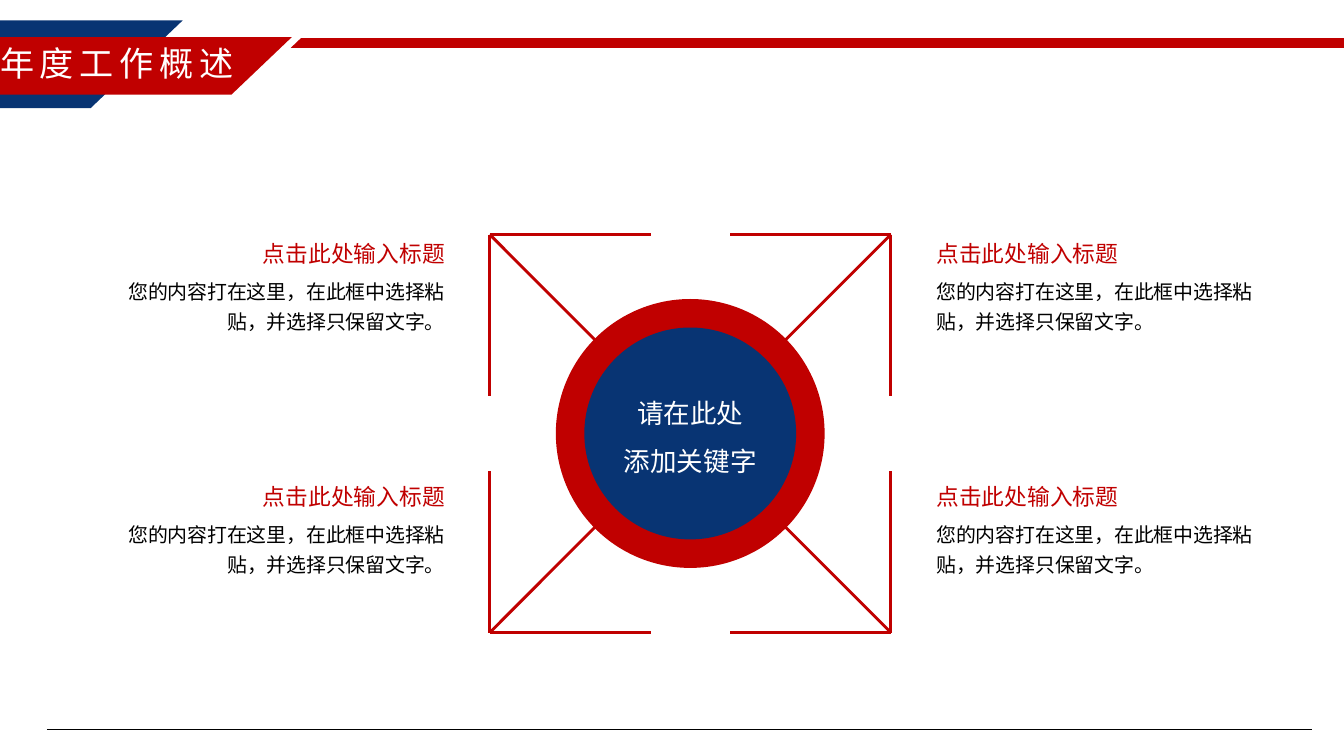
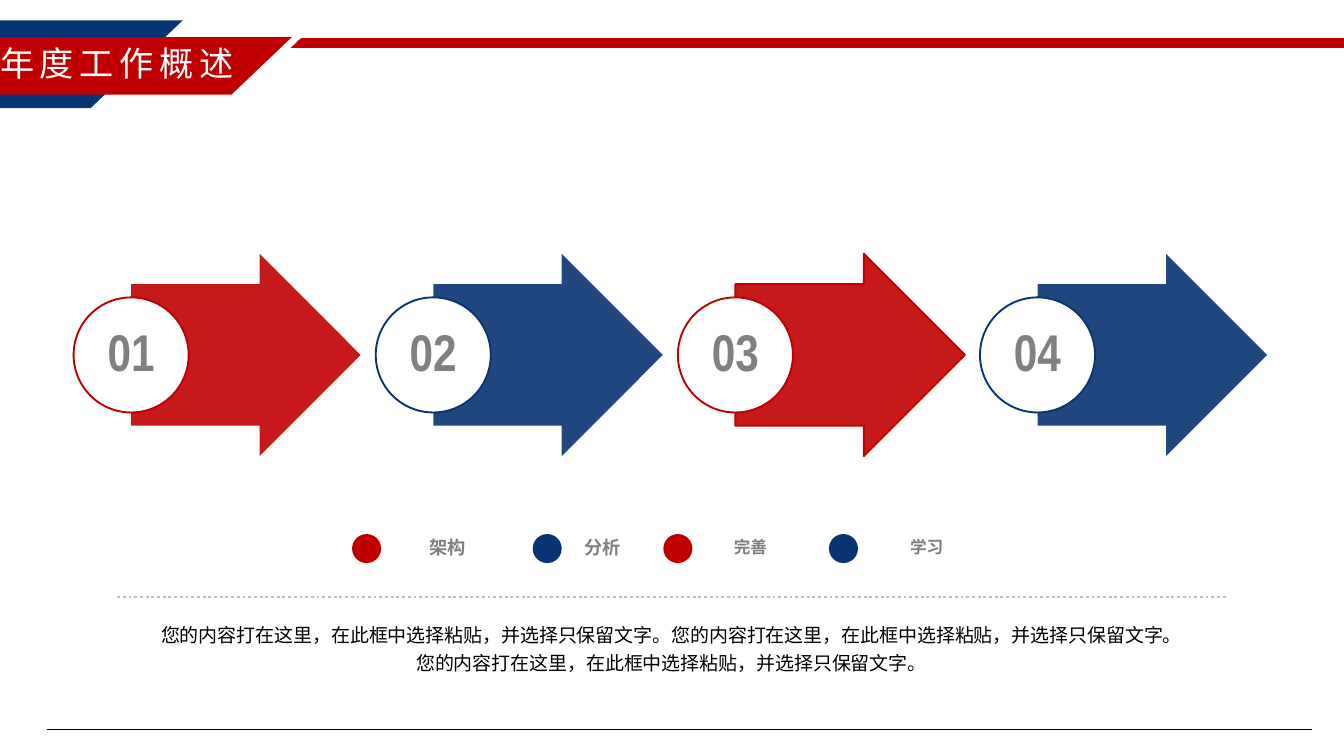
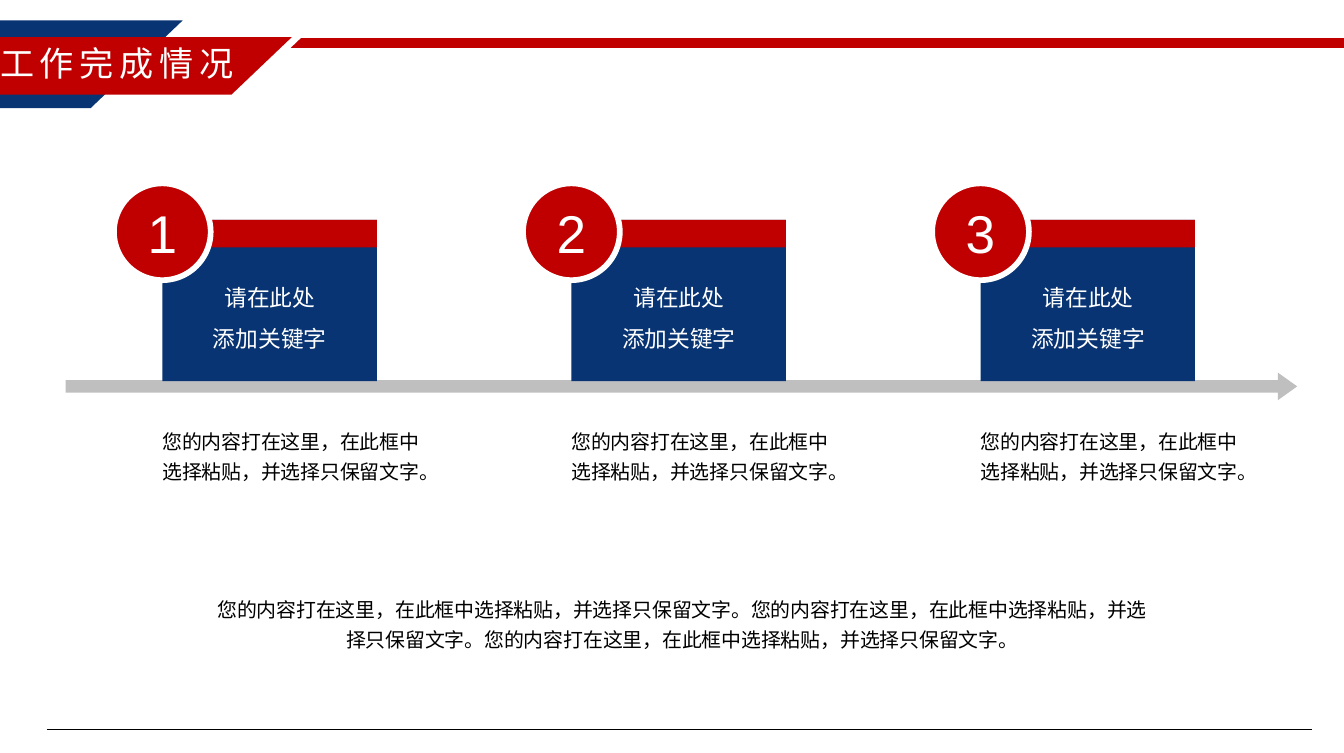
from itertools import product

from lxml.etree import SubElement
from pptx import Presentation
from pptx.dml.color import RGBColor
from pptx.enum.dml import MSO_LINE
from pptx.enum.lang import MSO_LANGUAGE_ID
from pptx.enum.shapes import MSO_CONNECTOR, MSO_SHAPE
from pptx.enum.text import MSO_ANCHOR, MSO_AUTO_SIZE, PP_ALIGN
from pptx.oxml.ns import qn
from pptx.util import Cm, Pt

COLORS = {
    "red": "C00000",
    "navy": "083473",
    "white": "FFFFFF",
    "black": "000000",
    "gray": "808080",
    "silver": "BFBFBF",
}
NO_INSETS = (0, 0, 0, 0)
TEXT_INSETS = (0.25, 0.13, 0.25, 0.13)

HEADING = "点击此处输入标题"
SENTENCE = "您的内容打在这里，在此框中选择粘贴，并选择只保留文字。"
KEYWORDS = ["请在此处", "添加关键字"]


def color(name):
    return RGBColor.from_string(COLORS[name])


def write(frame, *paragraphs, size, font="Arial", ink="black", bold=False,
          align=PP_ALIGN.LEFT, anchor=MSO_ANCHOR.TOP, line_spacing=1.0,
          tracking=None, insets=TEXT_INSETS, wrap=True):
    """Fill a text frame; insets are left, top, right, bottom in cm."""
    frame.word_wrap = wrap
    frame.auto_size = MSO_AUTO_SIZE.NONE
    frame.vertical_anchor = anchor
    (frame.margin_left, frame.margin_top,
     frame.margin_right, frame.margin_bottom) = map(Cm, insets)
    for index, text in enumerate(paragraphs):
        paragraph = frame.add_paragraph() if index else frame.paragraphs[0]
        paragraph.alignment = align
        paragraph.line_spacing = line_spacing
        run = paragraph.add_run()
        run.text = text
        run.font.name = font
        run.font.size = Pt(size)
        run.font.bold = bold
        run.font.color.rgb = color(ink)
        run.font.language_id = MSO_LANGUAGE_ID.SIMPLIFIED_CHINESE
        if tracking:
            run.font._element.set("spc", str(tracking * 100))


def add_text(slide, box, *paragraphs, **text_format):
    frame = slide.shapes.add_textbox(*map(Cm, box)).text_frame
    write(frame, *paragraphs, **text_format)


def add_body(slide, box, *paragraphs, size=10.5, **text_format):
    add_text(slide, box, *paragraphs, size=size, font="Calibri",
             line_spacing=1.25, **text_format)


def add_figure(slide, kind, box, fill, outline=None, outline_width=1,
               adjustments=(), opacity=None):
    figure = slide.shapes.add_shape(kind, *map(Cm, box))
    figure.shadow.inherit = False
    figure.fill.solid()
    figure.fill.fore_color.rgb = color(fill)
    if opacity:
        solid = figure.element.spPr.find(qn("a:solidFill"))
        SubElement(solid[0], qn("a:alpha"), val=str(opacity * 1000))
    if outline:
        figure.line.color.rgb = color(outline)
        figure.line.width = Pt(outline_width)
    else:
        figure.line.fill.background()
    for index, value in enumerate(adjustments):
        figure.adjustments[index] = value
    return figure


def add_circle(slide, center_x, center_y, diameter, fill, **style):
    box = (center_x - diameter / 2, center_y - diameter / 2, diameter, diameter)
    return add_figure(slide, MSO_SHAPE.OVAL, box, fill, **style)


def add_line(slide, start, end, ink, width, dash=None):
    line = slide.shapes.add_connector(
        MSO_CONNECTOR.STRAIGHT, *map(Cm, (*start, *end)))
    line.line.color.rgb = color(ink)
    line.line.width = Pt(width)
    if dash:
        line.line.dash_style = dash
    SubElement(line.element.spPr, qn("a:effectLst"))


def add_framed_slide(deck, title_text):
    """Add a slide with the header bands, the title and the footer rule."""
    slide = deck.slides.add_slide(deck.slide_layouts[5])
    bands = [
        ((-2.06, 0.38, 5.46, 1.63), "navy"),
        ((-2.06, 0.69, 7.49, 1.07), "red"),
        ((5.41, 0.71, 20.75, 0.18), "red"),
    ]
    for box, fill in bands:
        add_figure(slide, MSO_SHAPE.PARALLELOGRAM, box, fill, adjustments=[1.05])
    add_line(slide, (0.87, 13.56), (24.4, 13.56), "black", 0.5)

    title = slide.shapes.title
    title.left, title.top, title.width, title.height = map(
        Cm, (0, 0.66, 5, 1.02))
    write(title.text_frame, title_text, size=18, font="Noto Sans CJK SC",
          ink="white", tracking=3, anchor=MSO_ANCHOR.MIDDLE,
          insets=NO_INSETS, wrap=False)
    slide.shapes.element.append(title.element)  # in front of the bands
    return slide


def build_keyword_hub(deck):
    slide = add_framed_slide(deck, "年度工作概述")
    hub_x, hub_y = 12.84, 8.06
    arm, diagonal = 3, 3.54
    for side_x, side_y in product((-1, 1), repeat=2):
        corner_x, corner_y = hub_x + side_x * 3.73, hub_y + side_y * 3.7
        for reach_x, reach_y in ((arm, 0), (0, arm), (diagonal, diagonal)):
            end = (corner_x - side_x * reach_x, corner_y - side_y * reach_y)
            add_line(slide, (corner_x, corner_y), end, "red", 1.5)

    add_circle(slide, hub_x, hub_y, 5, "red")
    add_circle(slide, hub_x, hub_y, 3.94, "navy")
    add_text(slide, (10.87, 6.96, 3.94, 2.06), *KEYWORDS, size=14, ink="white",
             align=PP_ALIGN.CENTER, line_spacing=1.5)

    columns = ((17.17, PP_ALIGN.LEFT), (2.1, PP_ALIGN.RIGHT))
    for (left, align), top in product(columns, (4.32, 8.84)):
        add_text(slide, (left, top, 6.43, 0.76), HEADING, size=12, ink="red",
                 align=align)
        add_body(slide, (left, top + 0.64, 6.43, 1.35), SENTENCE, align=align)


def build_process(deck):
    slide = add_framed_slide(deck, "年度工作概述")
    legend = [
        ("架构", 6.55, 7.98, 0.69, 9.6),
        ("分析", 9.91, 10.87, 0.69, 9.6),
        ("完善", 12.34, 13.64, 0.64, 8.8),
        ("学习", 15.42, 16.92, 0.64, 8.8),
    ]
    for index, (label, dot_left, label_left, width, size) in enumerate(legend):
        tone = ("red", "navy")[index % 2]
        add_figure(slide, MSO_SHAPE.OVAL, (dot_left, 9.93, 0.54, 0.54), tone)
        add_text(slide, (label_left, 9.98, width, 0.41), label, size=size,
                 ink="gray", bold=True, align=PP_ALIGN.CENTER,
                 insets=NO_INSETS, wrap=False)

        step_x, step_y = 2.44 + index * 5.62, 6.6
        add_figure(slide, MSO_SHAPE.RIGHT_ARROW,
                   (step_x, step_y - 1.88, 4.27, 3.76), tone, opacity=90,
                   outline=tone if index == 2 else None,
                   adjustments=[0.7, 0.5])
        badge = add_circle(slide, step_x, step_y, 2.14, "white", outline=tone)
        write(badge.text_frame, f"{index + 1:02}", size=27.2,
              font="Arial Narrow", ink="gray", bold=True, line_spacing=0.9,
              align=PP_ALIGN.CENTER, anchor=MSO_ANCHOR.MIDDLE,
              insets=NO_INSETS)

    add_line(slide, (2.18, 11.1), (22.81, 11.1), "silver", 1.5,
             dash=MSO_LINE.ROUND_DOT)
    add_body(slide, (2.16, 11.48, 20.65, 1.6), SENTENCE * 2, SENTENCE, size=10,
             align=PP_ALIGN.CENTER, insets=NO_INSETS)


def build_milestones(deck):
    slide = add_framed_slide(deck, "工作完成情况")
    add_figure(slide, MSO_SHAPE.RIGHT_ARROW, (1.22, 6.93, 22.91, 0.51),
               "silver", adjustments=[0.46, 0.7])
    for index in range(3):
        left, top, width = 3.02 + index * 7.61, 4.09, 3.99
        add_figure(slide, MSO_SHAPE.RECTANGLE, (left, top, width, 3), "navy")
        add_figure(slide, MSO_SHAPE.RECTANGLE, (left, top, width, 0.51), "red")
        badge = add_circle(slide, left, 4.31, 1.8, "red", outline="white",
                           outline_width=3)
        write(badge.text_frame, str(index + 1), size=28, ink="white",
              align=PP_ALIGN.CENTER, anchor=MSO_ANCHOR.MIDDLE,
              insets=NO_INSETS)
        add_text(slide, (left + 0.25, 4.9, 3.5, 1.8), *KEYWORDS, size=12,
                 ink="white", align=PP_ALIGN.CENTER, line_spacing=1.5)
        add_body(slide, (left, 7.75, 5.16, 1.35), SENTENCE,
                 insets=(0, 0.13, 0.25, 0.13))
    add_body(slide, (3.71, 10.87, 17.98, 2.49), SENTENCE * 3,
             align=PP_ALIGN.CENTER)


def main():
    deck = Presentation()
    deck.slide_width, deck.slide_height = Cm(25), Cm(14)
    build_keyword_hub(deck)
    build_process(deck)
    build_milestones(deck)
    deck.save("out.pptx")


if __name__ == "__main__":
    main()
